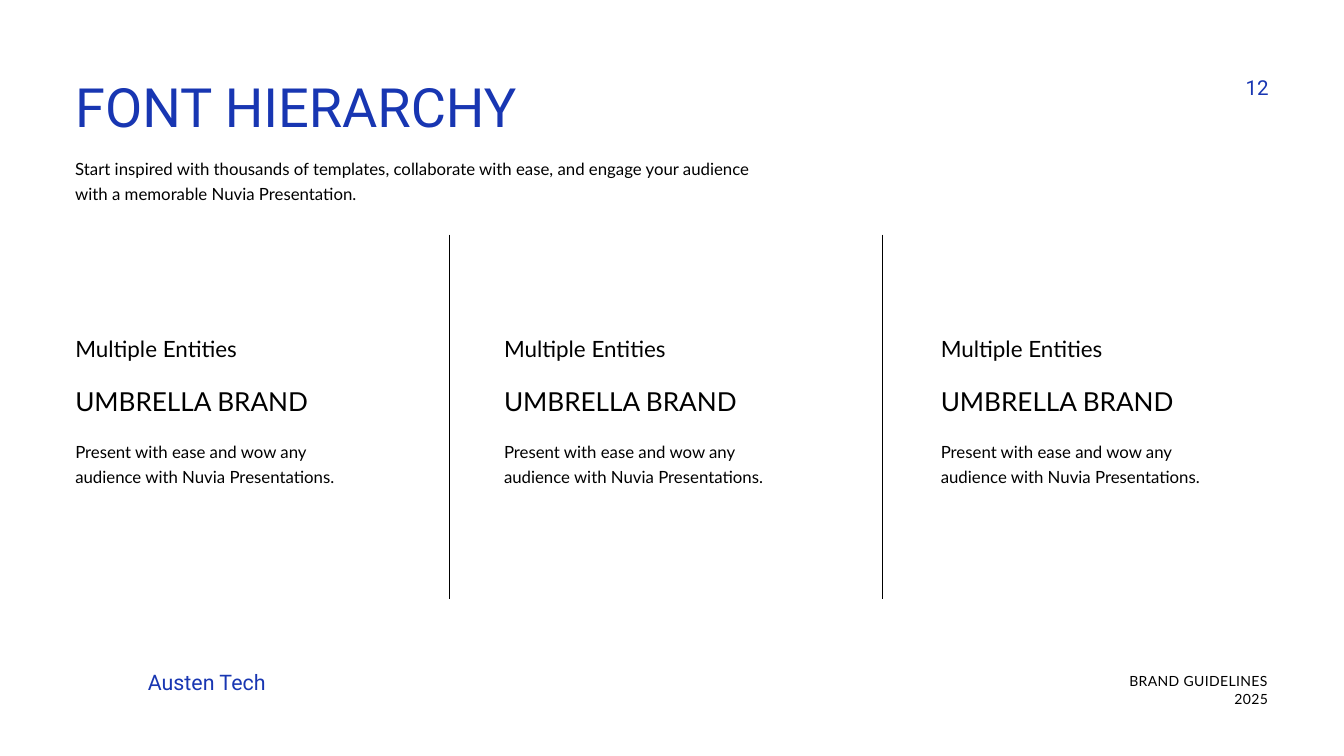
from pptx import Presentation
from pptx.dml.color import RGBColor
from pptx.enum.text import MSO_AUTO_SIZE, PP_ALIGN
from pptx.oxml.ns import qn
from pptx.util import Pt

PX = 9144  # EMU per px, 100 px to the inch
BLUE = RGBColor(0x18, 0x36, 0xB2)
BLACK = RGBColor(0, 0, 0)
LEFT, RIGHT = PP_ALIGN.LEFT, PP_ALIGN.RIGHT
GROW = MSO_AUTO_SIZE.SHAPE_TO_FIT_TEXT

# Each style: font format, line spacing in points
STYLES = {
    "title": ({"name": "Roboto", "size": Pt(58)}, 58, BLUE),
    "number": ({"name": "Roboto", "size": Pt(22)}, 24.2, BLUE),
    "company": ({"name": "Roboto", "size": Pt(22.9)}, 32, BLUE),
    "label": ({"name": "Lato", "size": Pt(24)}, 28.8, BLACK),
    "heading": ({"name": "Lato", "size": Pt(28)}, 33.6, BLACK),
    "body": ({"name": "Lato", "size": Pt(18)}, 27, BLACK),
    "footer": ({"name": "Lato", "size": Pt(15)}, 19.5, BLACK),
}


class Deck:
    def __init__(self, width, height):
        self.prs = Presentation()
        self.prs.slide_width = width * PX
        self.prs.slide_height = height * PX
        self.s = self.prs.slides.add_slide(self.prs.slide_layouts[6])

    def group(self):
        return self.s.shapes.add_group_shape().shapes

    def text(self, box, lines, style, align=LEFT, tracking=None, shapes=None):
        fmt, spacing, color = STYLES[style]
        sp = (shapes or self.s.shapes).add_textbox(*(v * PX for v in box))
        tf = sp.text_frame
        frame = {"word_wrap": True, "auto_size": GROW, "margin_left": 0,
                 "margin_top": 0, "margin_right": 0, "margin_bottom": 0}
        for key, value in frame.items():
            setattr(tf, key, value)
        for i, line in enumerate(lines):
            p = tf.add_paragraph() if i else tf.paragraphs[0]
            p.alignment = align
            p.line_spacing = Pt(spacing)
            r = p.add_run()
            r.text = line
            for key, value in fmt.items():
                setattr(r.font, key, value)
            r.font.color.rgb = color
            if tracking:
                r.font._element.set("spc", str(tracking))

    def vertical_line(self, x, top, bottom):
        line = self.s.shapes.add_connector(1, x * PX, top * PX, x * PX, bottom * PX)
        line.line.color.rgb = BLACK
        line.line.width = Pt(0.75)
        sp_pr = line._element.spPr
        sp_pr.append(sp_pr.makeelement(qn("a:effectLst"), {}))


def main():
    deck = Deck(2000, 1125)

    # Header
    deck.text((112, 125, 1014, 84), ["FONT HIERARCHY"], "title")
    deck.text((112, 229, 1014, 72),
              ["Start inspired with thousands of templates, collaborate with ease, "
               "and engage your audience with a memorable Nuvia Presentation."], "body")
    deck.text((1839, 114, 49, 35), ["12"], "number", RIGHT)

    # Three columns
    for x in (112, 750, 1400):
        column = deck.group()
        deck.text((x, 499, 478, 40), ["Multiple Entities"], "label", shapes=column)
        deck.text((x, 574, 478, 46), ["UMBRELLA BRAND"], "heading", shapes=column)
        deck.text((x, 650, 478, 73),
                  ["Present with ease and wow any",
                   "audience with Nuvia Presentations."], "body", shapes=column)

    # Dividers
    for x in (669, 1313):
        deck.vertical_line(x, 349, 892)

    # Footer
    deck.text((220, 990, 188, 42), ["Austen Tech"], "company")
    deck.text((1630, 998, 257, 27), ["BRAND GUIDELINES 2025"], "footer", RIGHT, tracking=40)

    deck.prs.save("out.pptx")


if __name__ == "__main__":
    main()
